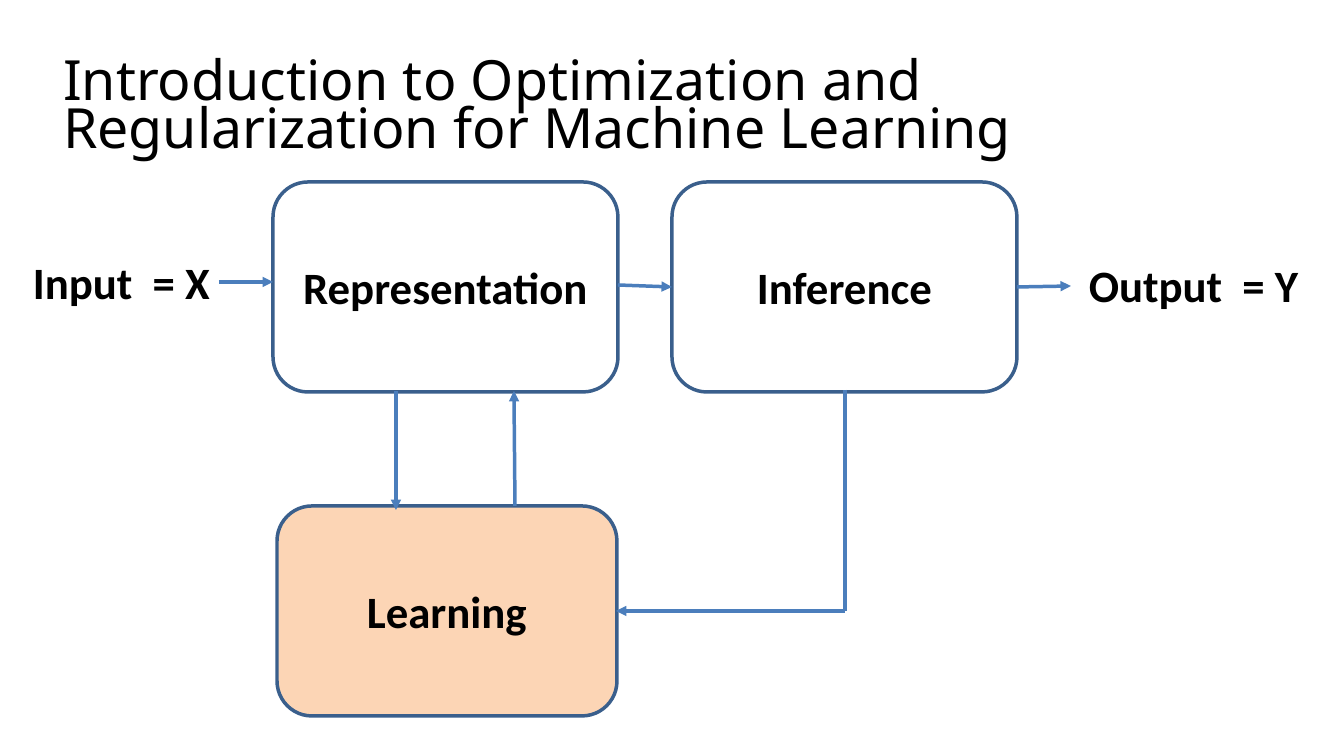
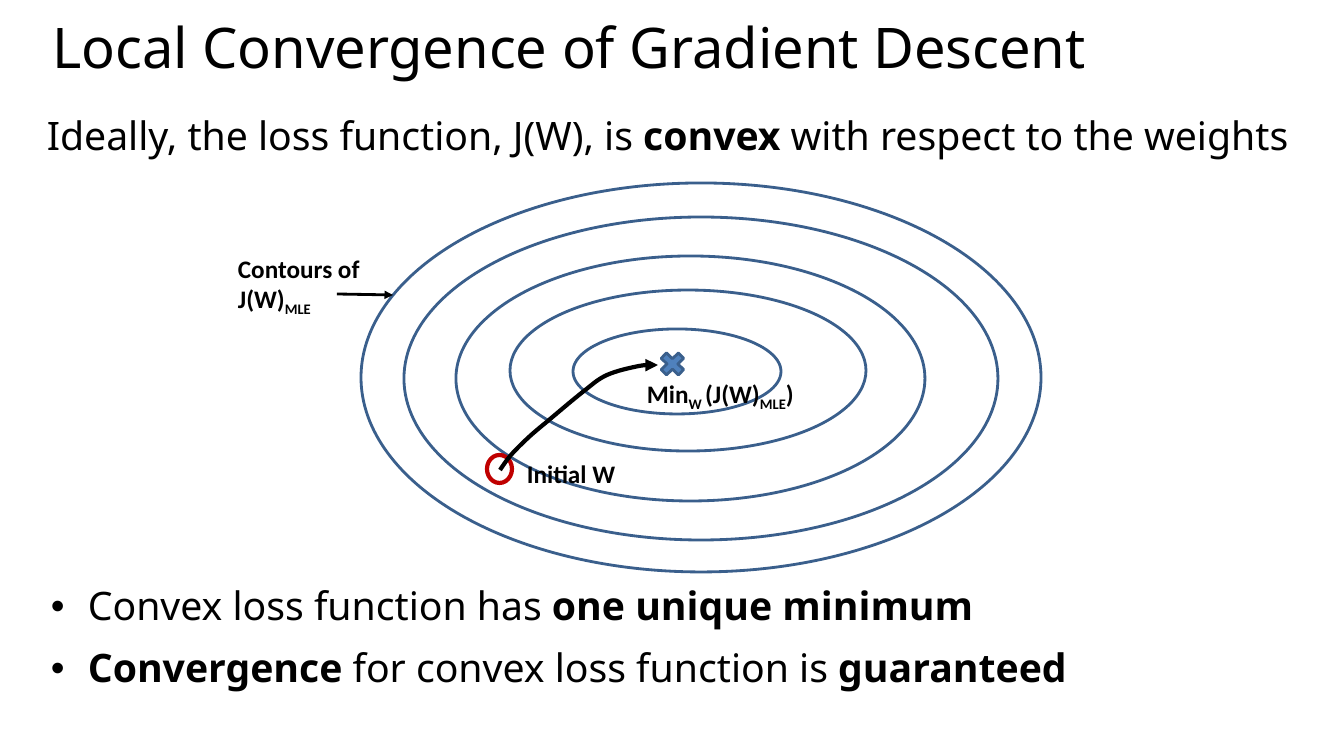
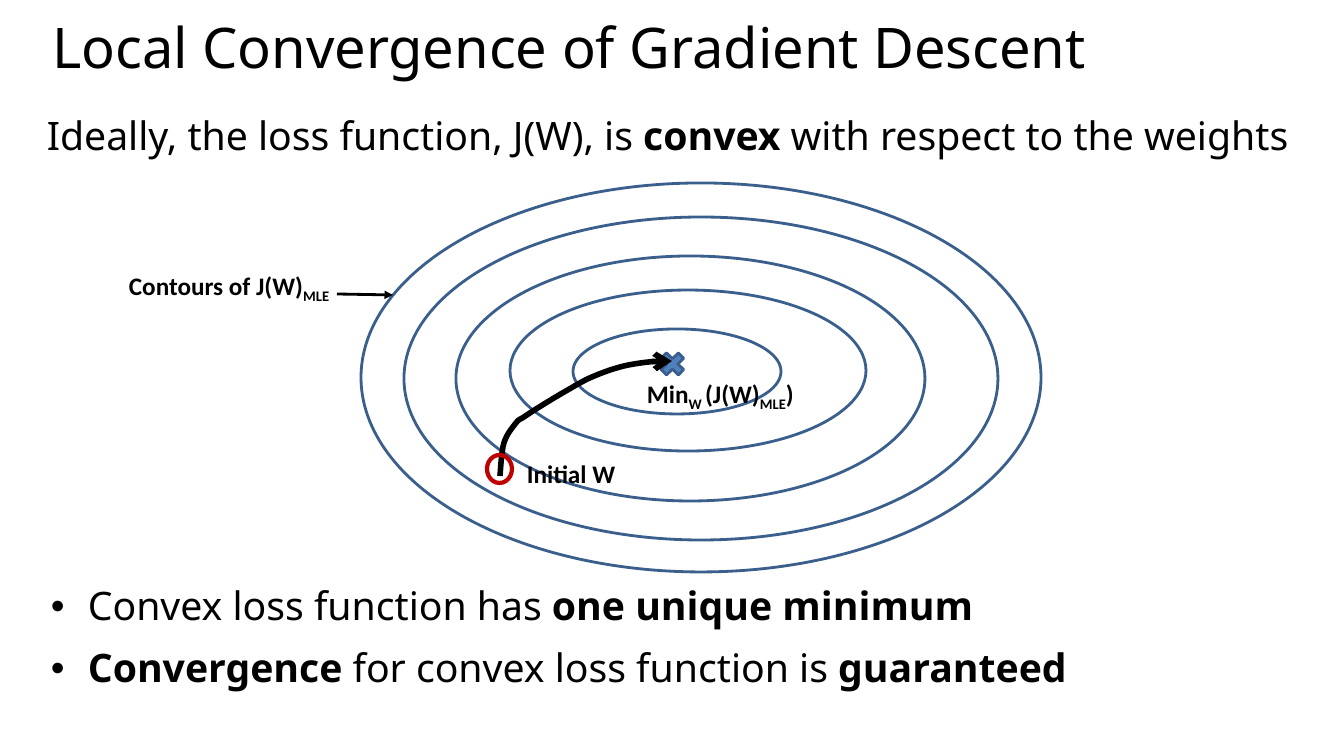
from dataclasses import dataclass

from lxml.etree import SubElement
from pptx import Presentation
from pptx.dml.color import RGBColor
from pptx.enum.shapes import MSO_CONNECTOR, MSO_SHAPE
from pptx.enum.text import MSO_ANCHOR, PP_ALIGN
from pptx.oxml.ns import qn
from pptx.util import Emu, Pt

# Shared look
SCALE = 914400 / 100.8
BLACK = RGBColor(0x00, 0x00, 0x00)
NAVY = RGBColor(0x3A, 0x5F, 0x8C)
BLUE = RGBColor(0x4B, 0x7E, 0xBC)
STEEL = RGBColor(0x4F, 0x81, 0xBD)
PEACH = RGBColor(0xFC, 0xD5, 0xB5)
RED = RGBColor(0xC0, 0x00, 0x00)
HEAD = {"name": "Noto Sans", "size": Pt(40), "bold": False}
BODY = {"name": "Noto Sans", "size": Pt(28), "bold": False}
BLOCK = {"name": "Calibri", "size": Pt(32), "bold": True}
LABEL = {"name": "Calibri", "size": Pt(18), "bold": True}
STRONG = {"bold": True}
SUB = {"baseline": "-25000"}

Area = tuple[int, int, int, int]
Point = tuple[float, float]
Run = tuple[str, dict]


@dataclass
class Box:
    area: Area
    text: str
    fill: RGBColor | None = None


@dataclass
class Link:
    start: Point
    end: Point
    color: RGBColor = BLUE
    width: float = 2.5
    tip: str | None = "triangle"


@dataclass
class Note:
    area: Area
    runs: list[Run]


@dataclass
class Scene:
    label: Area
    route: list[Point]
    width: float
    tip: str
    ring_last: bool


def px(value: float) -> Emu:
    return Emu(round(value * SCALE))


def place(area: Area) -> list[Emu]:
    return [px(side) for side in area]


def write(para, runs: list[Run], base: dict) -> None:
    for text, extra in runs:
        run = para.add_run()
        run.text = text
        run.font.color.rgb = BLACK
        for key, value in (base | extra).items():
            if key == "baseline":
                run._r.get_or_add_rPr().set(key, value)
            else:
                setattr(run.font, key, value)


def add_tip(line, kind: str) -> None:
    SubElement(line._get_or_add_ln(), qn("a:tailEnd"), type=kind)


def outline(line, color: RGBColor, width: float) -> None:
    line.color.rgb = color
    line.width = Pt(width)


def add_title(slide, area: Area, text: str, size: float, space: float) -> None:
    title = slide.shapes.title
    title.left, title.top, title.width, title.height = place(area)
    frame = title.text_frame
    frame.word_wrap = True
    frame.vertical_anchor = MSO_ANCHOR.TOP
    para = frame.paragraphs[0]
    para.alignment = PP_ALIGN.LEFT
    para.line_spacing = space
    write(para, [(text, {"size": Pt(size)})], HEAD)


def add_text(slide, area: Area, lines: list[list[Run]], base: dict,
             space: float = 1.0, mark: bool = False) -> None:
    frame = slide.shapes.add_textbox(*place(area)).text_frame
    frame.word_wrap = True
    for index, runs in enumerate(lines):
        para = frame.add_paragraph() if index else frame.paragraphs[0]
        para.line_spacing = space
        if index:
            para.space_before = Pt(14)
        if mark:
            props = para._p.get_or_add_pPr()
            props.set("marL", str(px(37)))
            props.set("indent", str(-px(37)))
            SubElement(props, qn("a:buFont"), typeface="Arial")
            SubElement(props, qn("a:buChar"), char="•")
        write(para, runs, base)


def add_form(slide, kind: MSO_SHAPE, area: Area, color: RGBColor, width: float,
             fill: RGBColor | None = None):
    shape = slide.shapes.add_shape(kind, *place(area))
    shape.shadow.inherit = False
    if fill is None:
        shape.fill.background()
    else:
        shape.fill.solid()
        shape.fill.fore_color.rgb = fill
    outline(shape.line, color, width)
    return shape


def add_box(slide, box: Box) -> None:
    shape = add_form(slide, MSO_SHAPE.ROUNDED_RECTANGLE, box.area, NAVY, 2.5, box.fill)
    frame = shape.text_frame
    frame.vertical_anchor = MSO_ANCHOR.MIDDLE
    frame.paragraphs[0].alignment = PP_ALIGN.CENTER
    write(frame.paragraphs[0], [(box.text, {})], BLOCK)


def add_link(slide, link: Link) -> None:
    ends = place((*link.start, *link.end))
    line = slide.shapes.add_connector(MSO_CONNECTOR.STRAIGHT, *ends)
    outline(line.line, link.color, link.width)
    if link.tip:
        add_tip(line.line, link.tip)
    SubElement(line._element.spPr, qn("a:effectLst"))


def smooth(knots: list[Point], steps: int = 8) -> list[Point]:
    """Spline through the knots."""
    ends = [knots[0], *knots, knots[-1]]
    points = [knots[0]]
    for a, b, c, d in zip(ends, ends[1:], ends[2:], ends[3:]):
        for step in range(1, steps + 1):
            t = step / steps
            points.append(tuple(
                q + t / 2 * (r - p + t * (2 * p - 5 * q + 4 * r - s
                                          + t * (3 * q - p - 3 * r + s)))
                for p, q, r, s in zip(a, b, c, d)))
    return points


def add_route(slide, scene: Scene) -> None:
    points = [(px(x), px(y)) for x, y in smooth(scene.route)]
    form = slide.shapes.build_freeform(*points[0])
    form.add_line_segments(points[1:], close=False)
    curve = form.convert_to_shape()
    curve.shadow.inherit = False
    curve.fill.background()
    outline(curve.line, BLACK, scene.width)
    add_tip(curve.line, scene.tip)


def add_ring(slide) -> None:
    add_form(slide, MSO_SHAPE.OVAL, (487, 455, 25, 28), RED, 3)


deck = Presentation()
deck.slide_width, deck.slide_height = px(1344), px(756)
layout = deck.slide_layouts[5]

# Slide 1: learning pipeline
BOXES = [
    Box((273, 182, 345, 210), "Representation"),
    Box((277, 506, 340, 210), "Learning", PEACH),
    Box((672, 182, 345, 210), "Inference"),
]
LINKS = [
    Link((618, 285), (672, 287)),
    Link((219, 282), (273, 282)),
    Link((396, 391), (396, 510)),
    Link((515, 506), (514, 391)),
    Link((845, 611), (616, 611)),
    Link((845, 390), (845, 611), tip=None),
    Link((1017, 287), (1071, 286)),
]
ENDS = [
    Note((23, 250, 206, 65), [("Input  = X", {})]),
    Note((1079, 253, 245, 65), [("Output  = Y", {})]),
]
slide = deck.slides.add_slide(layout)
add_title(slide, (53, 57, 1256, 112),
          "Introduction to Optimization and Regularization for Machine Learning", 39.6, 0.72)
for box in BOXES:
    add_box(slide, box)
for link in LINKS:
    add_link(slide, link)
for note in ENDS:
    add_text(slide, note.area, [note.runs], BLOCK)

# Slides 2 and 3: descent on a convex loss
RINGS = [
    (404, 217, 594, 323),
    (573, 329, 208, 85),
    (510, 290, 356, 161),
    (456, 256, 469, 245),
    (361, 183, 680, 389),
]
NOTES = [
    Note((637, 373, 240, 40), [("Min", {}), ("W ", SUB), ("(J(W)", {}),
                               ("MLE", SUB), (")", {})]),
    Note((517, 453, 240, 40), [("Initial W", {})]),
]
CONTOUR = [("Contours of J(W)", {}), ("MLE", SUB)]
INTRO = [("Ideally, the loss function, J(W), is ", {}), ("convex ", STRONG),
         ("with respect to the weights", {})]
FACTS = [
    [("Convex loss function has ", {}), ("one unique minimum", STRONG)],
    [("Convergence", STRONG), (" for convex loss function is ", {}),
     ("guaranteed", STRONG)],
]
SCENES = [
    Scene((228, 248, 163, 72),
          [(500, 470), (511, 455), (529, 437), (549, 420), (584, 391),
           (607, 375), (639, 366), (658, 365)], 3, "triangle", False),
    Scene((119, 265, 240, 40),
          [(500, 476), (504, 443), (516, 423), (524, 417), (541, 406),
           (566, 391), (592, 377), (624, 366), (658, 361), (672, 361)],
          4, "arrow", True),
]
for scene in SCENES:
    slide = deck.slides.add_slide(layout)
    add_title(slide, (42, 20, 1270, 85), "Local Convergence of Gradient Descent", 40, 0.8)
    add_text(slide, (37, 112, 1270, 85), [INTRO], BODY, 0.9)
    for area in RINGS:
        add_form(slide, MSO_SHAPE.OVAL, area, NAVY, 2)
    add_form(slide, MSO_SHAPE.MATH_MULTIPLY, (656, 348, 33, 32), NAVY, 2, STEEL)
    if not scene.ring_last:
        add_ring(slide)
    add_route(slide, scene)
    if scene.ring_last:
        add_ring(slide)
    for note in [*NOTES, Note(scene.label, CONTOUR)]:
        add_text(slide, note.area, [note.runs], LABEL)
    add_link(slide, Link((337, 294), (393, 295), BLACK, 2))
    add_text(slide, (41, 582, 1270, 93), FACTS, BODY, 0.9, mark=True)

deck.save("out.pptx")
